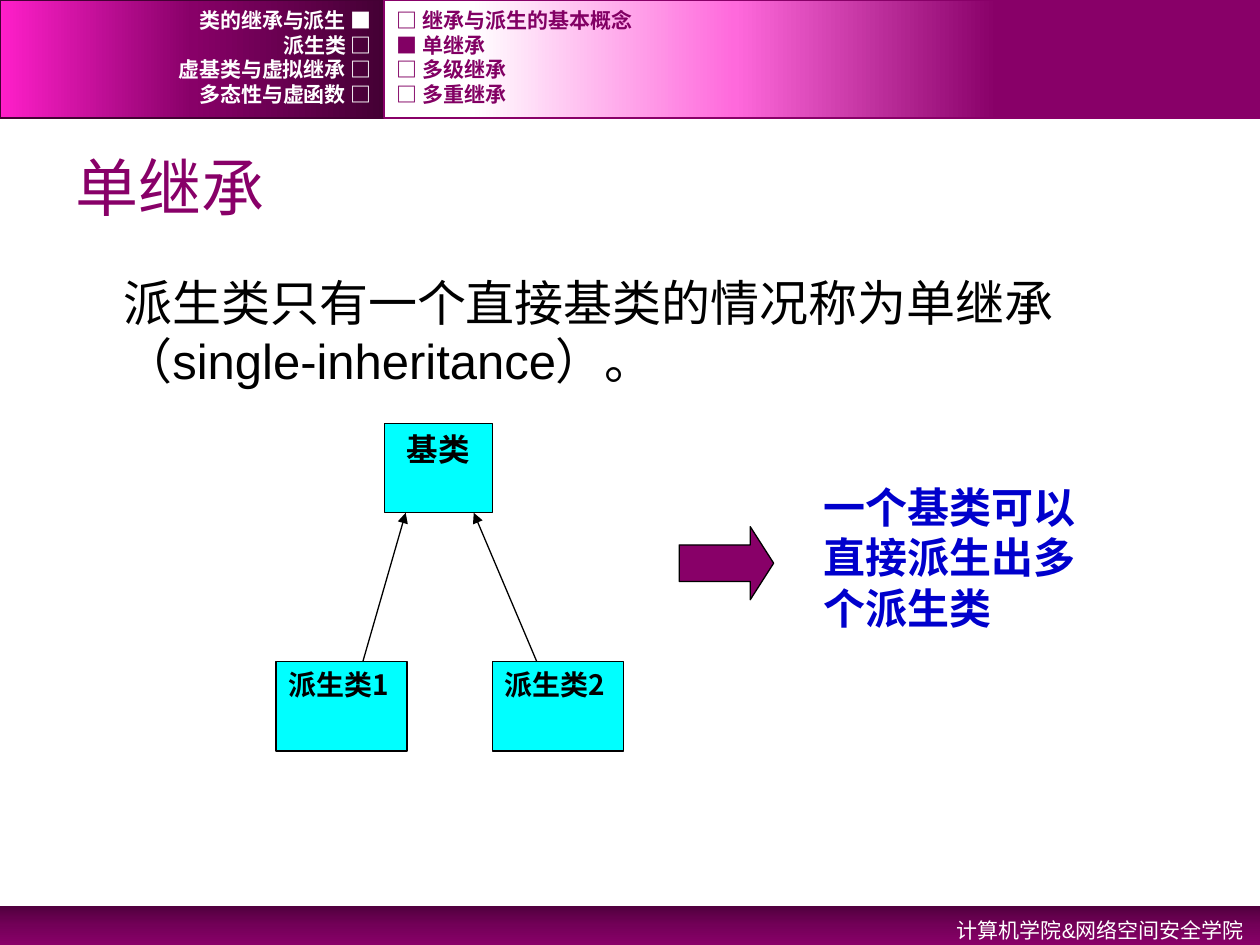
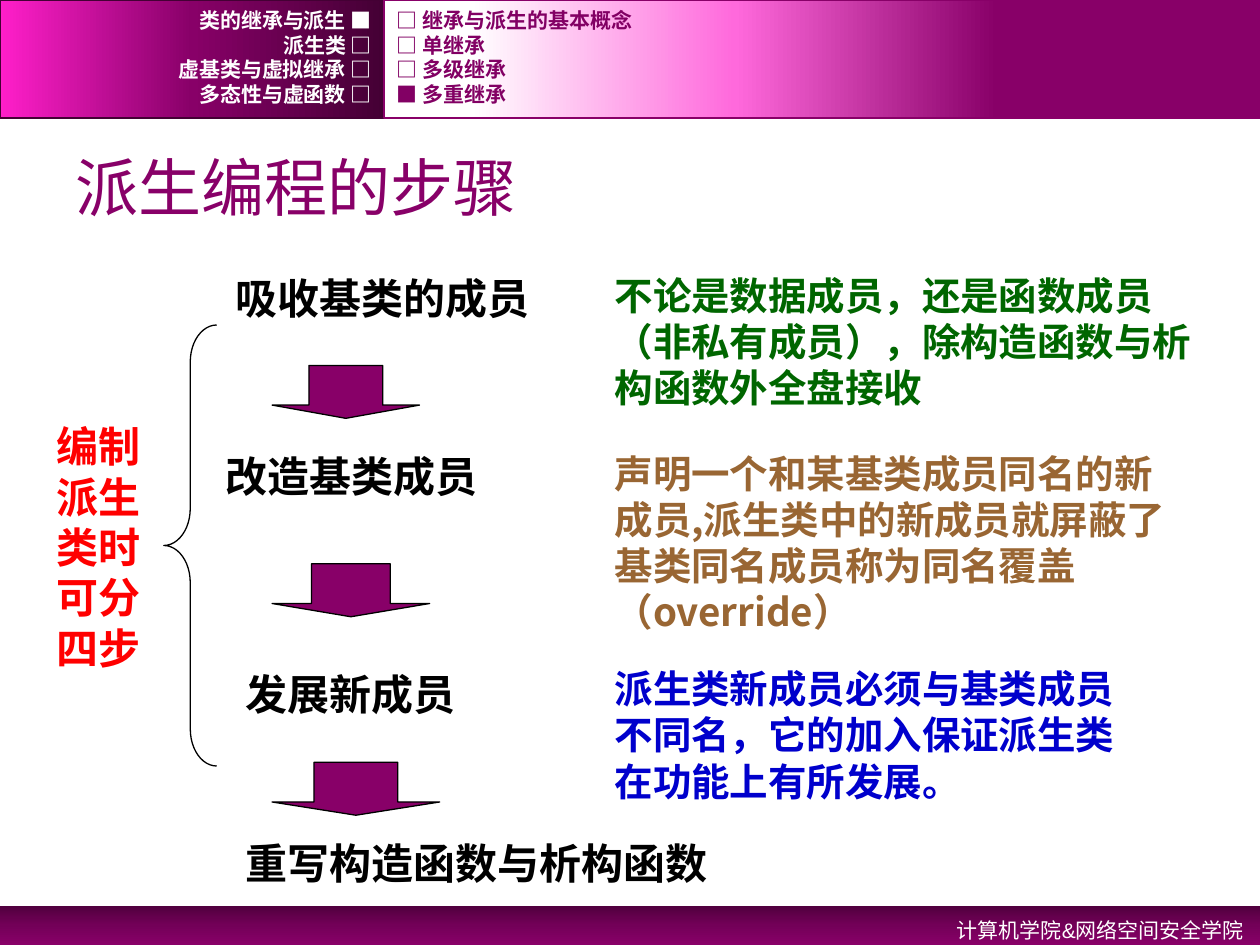
from copy import deepcopy
from dataclasses import dataclass

from lxml import etree
from pptx import Presentation
from pptx import util as u
from pptx.dml.color import RGBColor
from pptx.enum import shapes, text
from pptx.oxml.ns import qn

Inches = u.Inches
Kind = shapes.MSO_SHAPE
Align = text.PP_ALIGN


@dataclass(frozen=True)
class Theme:
    """Colours, type sizes and fonts of the deck."""
    plum: str = "880068"
    menu_plum: str = "820064"
    dark_plum: str = "440034"
    white: str = "FFFFFF"
    black: str = "000000"
    cyan: str = "00FFFF"
    blue: str = "0000CC"
    green: str = "006600"
    brown: str = "996633"
    red: str = "FF0000"
    footer_fade: tuple = ((0, "51003E"), (0.5, "730058"), (1, "880068"))
    chapter_fade: tuple = ((0, "440034"), (0.5, "880068"), (1, "FF1FCA"))
    section_fade: tuple = ((0.3, "880068"), (0.6, "FF69DC"), (0.9, "FFFFFF"))
    title_size: int = 36
    body_size: int = 28
    label_size: int = 24
    note_size: int = 22
    base_size: int = 18
    derived_size: int = 16
    small_size: int = 12
    plain: str = "Arial"
    menu: str = "Courier New"
    strong: str = "Noto Sans CJK SC"


CHAPTERS = ("类的继承与派生", "派生类", "虚基类与虚拟继承", "多态性与虚函数")
SECTIONS = ("继承与派生的基本概念", "单继承", "多级继承", "多重继承")
MENU_SPLIT, MENU_HEIGHT = 3.05, 0.94
MENU_TOP, MENU_STEP = 0.06, 0.195


class Painter:
    """Draws styled elements on the current slide."""

    def __init__(self, deck, theme):
        self.deck = deck
        self.theme = theme
        self.page = None

    def start(self, layout, title, section):
        """Opens a slide with its title, bands and menus."""
        theme = self.theme
        self.page = self.deck.slides.add_slide(self.deck.slide_layouts[layout])
        self.placeholder(0, title, (0.5, 1.09, 9, 0.78), theme.title_size,
                         theme.plum, text.MSO_ANCHOR.MIDDLE)
        self.band((0, 7.19, 10, 0.31), theme.footer_fade, 270)
        self.band((0, 0, MENU_SPLIT, MENU_HEIGHT), theme.chapter_fade, 180,
                  theme.dark_plum)
        self.band((MENU_SPLIT, 0, 10 - MENU_SPLIT, MENU_HEIGHT),
                  theme.section_fade, 180, theme.plum)
        footer = self.label("计算机学院&网络空间安全学院", (6.42, 7.19, 3.55, 0.32),
                            theme.small_size, theme.white, font=theme.plain,
                            bold=False, align=Align.RIGHT)
        footer.text_frame.paragraphs[0].line_spacing = 1.2
        for row, (chapter, name) in enumerate(zip(CHAPTERS, SECTIONS)):
            top = MENU_TOP + row * MENU_STEP
            chapter_mark = "■" if row == 0 else "□"
            section_mark = "■" if name == section else "□"
            self.menu_item(f"{chapter} {chapter_mark}", 0, top, MENU_SPLIT,
                           theme.white, Align.RIGHT)
            self.menu_item(f"{section_mark} {name}", MENU_SPLIT, top, 6.02,
                           theme.menu_plum, Align.LEFT)

    def place(self, at):
        """Turns inches into lengths."""
        return [Inches(length) for length in at]

    def set_words(self, frame, words, size, color, font, bold, align):
        """Fills a text frame with one formatted paragraph."""
        frame.text = words
        para = frame.paragraphs[0]
        para.alignment = align
        para.font.size = u.Pt(size)
        para.font.bold = bold
        para.font.color.rgb = RGBColor.from_string(color)
        para.font.name = font
        east = etree.SubElement(para._p.pPr.find(qn("a:defRPr")), qn("a:ea"))
        east.set("typeface", self.theme.strong)
        return para

    def placeholder(self, index, words, at, size, color, anchor):
        """Moves and fills a template placeholder."""
        box = self.page.placeholders[index]
        box.left, box.top, box.width, box.height = self.place(at)
        frame = box.text_frame
        frame.auto_size = text.MSO_AUTO_SIZE.NONE
        frame.vertical_anchor = anchor
        return self.set_words(frame, words, size, color, self.theme.plain,
                              False, Align.LEFT)

    def body(self, words, at):
        """Fills the body with an indented paragraph without a bullet."""
        para = self.placeholder(1, words, at, self.theme.body_size,
                                self.theme.black, text.MSO_ANCHOR.TOP)
        props = para._p.pPr
        props.set("marL", str(Inches(0.38)))
        props.set("indent", "0")
        props.find(qn("a:defRPr")).addprevious(
            etree.Element(qn("a:buNone")))

    def label(self, words, at, size, color, font=None, bold=True,
              align=Align.LEFT, wrap=True):
        """Adds a text box."""
        box = self.page.shapes.add_textbox(*self.place(at))
        frame = box.text_frame
        frame.word_wrap = wrap
        frame.auto_size = text.MSO_AUTO_SIZE.SHAPE_TO_FIT_TEXT
        self.set_words(frame, words, size, color, font or self.theme.strong,
                       bold, align)
        return box

    def menu_item(self, words, left, top, width, color, align):
        """Adds one line of a header menu."""
        box = self.label(words, (left, top, width, 0.2), self.theme.small_size,
                         color, font=self.theme.menu, align=align)
        box.text_frame.auto_size = text.MSO_AUTO_SIZE.NONE
        box.text_frame.vertical_anchor = text.MSO_ANCHOR.MIDDLE

    def shape(self, kind, at, fill=None, line=None, weight=0.75, adjust=()):
        """Adds a preset shape with flat fill and outline."""
        item = self.page.shapes.add_shape(kind, *self.place(at))
        item.shadow.inherit = False
        for index, value in enumerate(adjust):
            item.adjustments[index] = value
        if fill:
            item.fill.solid()
            item.fill.fore_color.rgb = RGBColor.from_string(fill)
        else:
            item.fill.background()
        if line:
            item.line.color.rgb = RGBColor.from_string(line)
            item.line.width = u.Pt(weight)
        else:
            item.line.fill.background()
        return item

    def band(self, at, fade, angle, line=None):
        """Adds a rectangle with a three-stop gradient."""
        strip = self.shape(Kind.RECTANGLE, at, line=line, weight=1)
        strip.fill.gradient()
        strip.fill.gradient_angle = angle
        stops = strip._element.spPr.find(".//" + qn("a:gsLst"))
        stops.append(deepcopy(stops[0]))
        for stop, (position, color) in zip(strip.fill.gradient_stops, fade):
            stop.position = position
            stop.color.rgb = RGBColor.from_string(color)

    def class_box(self, words, at, size, align):
        """Adds a class rectangle with its name at the top."""
        box = self.shape(Kind.RECTANGLE, at, self.theme.cyan, self.theme.black)
        box.text_frame.word_wrap = True
        box.text_frame.vertical_anchor = text.MSO_ANCHOR.TOP
        self.set_words(box.text_frame, words, size, self.theme.black,
                       self.theme.strong, True, align)

    def block_arrow(self, kind, at, adjust):
        """Adds a plum block arrow."""
        self.shape(kind, at, self.theme.plum, self.theme.black, adjust=adjust)

    def arrow(self, start, end):
        """Adds a thin line with an arrowhead at its end."""
        line = self.page.shapes.add_connector(
            shapes.MSO_CONNECTOR.STRAIGHT, *self.place(start + end))
        line.line.color.rgb = RGBColor.from_string(self.theme.black)
        line.line.width = u.Pt(0.75)
        props = line._element.spPr
        etree.SubElement(props.find(qn("a:ln")), qn("a:tailEnd"),
                         type="triangle")
        etree.SubElement(props, qn("a:effectLst"))


def single_inheritance(painter):
    """Builds the slide on single inheritance."""
    theme = painter.theme
    painter.start(1, "单继承", "单继承")
    painter.body("派生类只有一个直接基类的情况称为单继承（single-inheritance）。",
                 (0.5, 2.11, 9, 4.92))
    painter.class_box("基类", (3.05, 3.36, 0.86, 0.71), theme.base_size,
                      Align.CENTER)
    for number, left, start, end in ((1, 2.19, 2.88, 3.22),
                                     (2, 3.91, 4.26, 3.76)):
        painter.class_box(f"派生类{number}", (left, 5.25, 1.04, 0.71),
                          theme.derived_size, Align.JUSTIFY)
        painter.arrow((start, 5.25), (end, 4.07))
    painter.block_arrow(Kind.RIGHT_ARROW, (5.39, 4.18, 0.75, 0.58),
                        (0.5, 0.32))
    painter.label("一个基类可以直接派生出多个派生类", (6.44, 3.77, 2.47, 1.31),
                  theme.label_size, theme.blue)


def derivation_steps(painter):
    """Builds the slide on the steps of derivation."""
    theme = painter.theme
    painter.start(5, "派生编程的步骤", "多重继承")
    painter.label("编制派生类时可分四步", (0.35, 3.29, 0.88, 2.12),
                  theme.label_size, theme.red)
    painter.shape(Kind.LEFT_BRACE, (1.3, 2.58, 0.42, 3.5), line=theme.black,
                  adjust=(0.7, 0.5))
    steps = (("吸收基类的成员", 1.77, 2.11, 2.73),
             ("改造基类成员", 1.69, 3.53, 2.39),
             ("发展新成员", 1.85, 5.26, 2.05),
             ("重写构造函数与析构函数", 1.85, 6.6, 4.07))
    for words, left, top, width in steps:
        painter.label(words, (left, top, width, 0.5), theme.label_size,
                      theme.black, wrap=False)
    for row in range(3):
        at = (2.16, 2.9 + 1.575 * row, 1.17 + 0.08 * row, 0.42)
        painter.block_arrow(Kind.DOWN_ARROW, at, (0.5, 0.25))
    notes = (
        ("不论是数据成员，还是函数成员（非私有成员），除构造函数与析构函数外全盘接收",
         2.11, 4.9, 1.21, theme.green),
        ("声明一个和某基类成员同名的新成员,派生类中的新成员就屏蔽了"
         "基类同名成员称为同名覆盖（override）",
         3.52, 4.76, 1.58, theme.brown),
        ("派生类新成员必须与基类成员不同名，它的加入保证派生类在功能上有所发展。",
         5.23, 4.46, 1.21, theme.blue))
    for words, top, width, height, color in notes:
        painter.label(words, (4.78, top, width, height), theme.note_size, color)


def main():
    """Builds and saves the deck."""
    deck = Presentation()
    deck.slide_width, deck.slide_height = Inches(10), Inches(7.5)
    painter = Painter(deck, Theme())
    single_inheritance(painter)
    derivation_steps(painter)
    deck.save("out.pptx")


if __name__ == "__main__":
    main()
